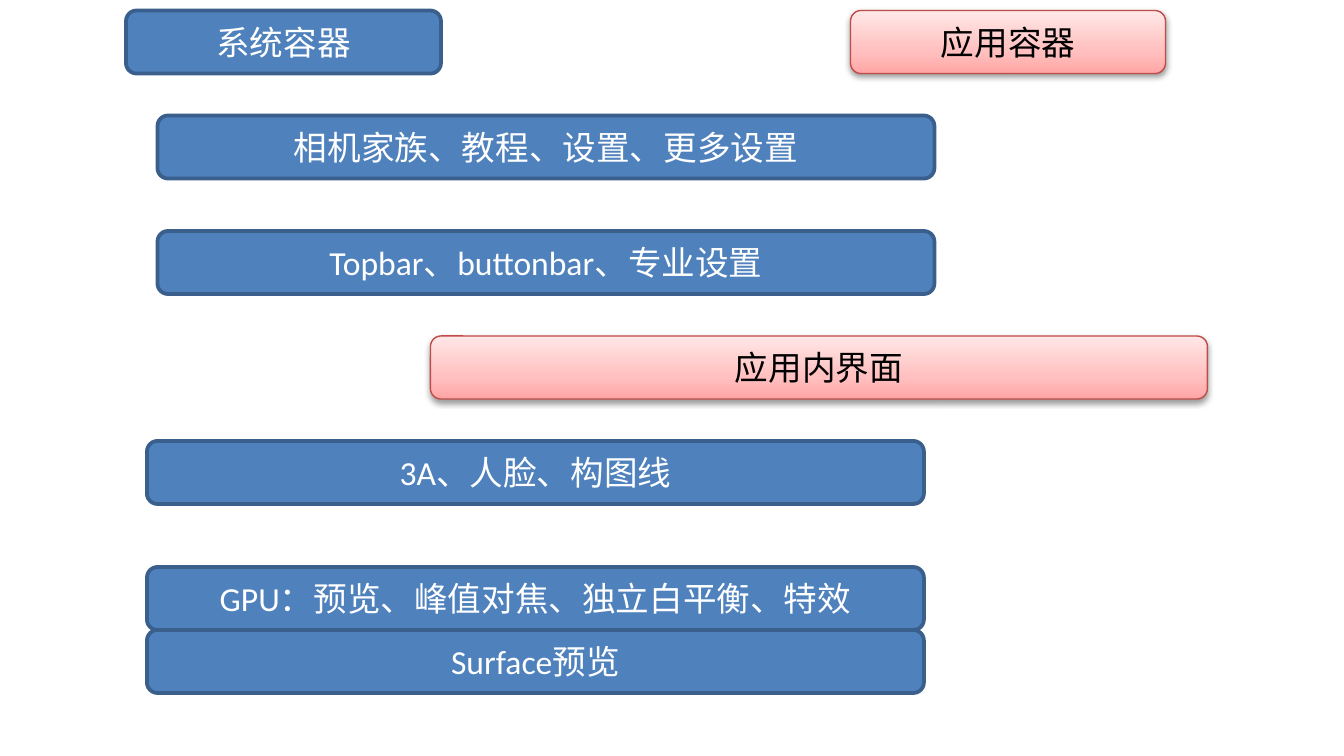
import pptx
import pptx.dml.color
import pptx.enum.shapes
import pptx.enum.text
import pptx.oxml
import pptx.oxml.ns
import pptx.util

Pt = pptx.util.Pt
COLORS = {
    "blue": "4F81BD", "blue_line": "3A5F8C", "red_line": "BF4C48",
    "red_dark": "FFA6A5", "red_middle": "FFC0BF", "red_light": "FFE7E7",
    "white": "FFFFFF", "black": "000000",
}
RED_STOPS = [(0, "red_dark"), (35, "red_middle"), (100, "red_light")]
STYLES = {
    "system": {"line": "blue_line", "line_width": 2, "text": "white"},
    "app": {"line": "red_line", "line_width": 0.75, "text": "black"},
}
BAR_HEIGHT = 33.75
HEADER_WIDTH, LAYER_WIDTH = 168.75, 416.25
HEADER_TOP = 5.63
PREVIEW_LEFT, MENU_LEFT = 78.75, 84.38


def color(name):
    return pptx.dml.color.RGBColor.from_string(COLORS[name])


def append_xml(parent, tag, content):
    namespace = pptx.oxml.ns.nsdecls("a")
    parent.append(pptx.oxml.parse_xml(f"<a:{tag} {namespace}>{content}</a:{tag}>"))


def color_xml(name, extra=""):
    return f'<a:srgbClr val="{COLORS[name]}">{extra}</a:srgbClr>'


def paint_app_bar(shape):
    shape.fill.gradient()
    shape.fill.gradient_angle = 90
    properties = shape.element.spPr
    stops = properties.find(".//" + pptx.oxml.ns.qn("a:gsLst"))
    for stop in list(stops):
        stops.remove(stop)
    for position, name in RED_STOPS:
        stop = pptx.oxml.parse_xml(
            f'<a:gs {pptx.oxml.ns.nsdecls("a")} pos="{position * 1000}">{color_xml(name)}</a:gs>')
        stops.append(stop)
    properties.remove(properties.find(pptx.oxml.ns.qn("a:effectLst")))
    shadow = color_xml("black", '<a:alpha val="38000"/>')
    append_xml(properties, "effectLst",
               f'<a:outerShdw blurRad="{Pt(3.15)}" dist="{Pt(1.57)}" dir="5400000" '
               f'rotWithShape="0">{shadow}</a:outerShdw>')


def write_label(shape, text, color_name):
    frame = shape.text_frame
    frame.word_wrap = True
    frame.vertical_anchor = pptx.enum.text.MSO_ANCHOR.MIDDLE
    paragraph = frame.paragraphs[0]
    paragraph.alignment = pptx.enum.text.PP_ALIGN.CENTER
    run = paragraph.add_run()
    run.text = text
    for attribute, value in {"name": "Calibri", "size": Pt(18)}.items():
        setattr(run.font, attribute, value)
    run.font.color.rgb = color(color_name)


def add_bar(slide, kind, text, left, top, width):
    style = STYLES[kind]
    shape = slide.shapes.add_shape(
        pptx.enum.shapes.MSO_SHAPE.ROUNDED_RECTANGLE,
        Pt(left), Pt(top), Pt(width), Pt(BAR_HEIGHT))
    shape.line.color.rgb = color(style["line"])
    shape.line.width = Pt(style["line_width"])
    shape.shadow.inherit = False
    if kind == "app":
        paint_app_bar(shape)
    else:
        shape.fill.solid()
        shape.fill.fore_color.rgb = color("blue")
    write_label(shape, text, style["text"])


def main():
    """Build the slide of system and application container layers."""
    presentation = pptx.Presentation()
    presentation.slide_width, presentation.slide_height = Pt(720), Pt(405)
    slide = presentation.slides.add_slide(presentation.slide_layouts[6])
    headers = [
        ("system", "系统容器", 67.5),
        ("app", "应用容器", 455.63),
    ]
    layers = [
        ("system", "相机家族、教程、设置、更多设置", MENU_LEFT, 61.88),
        ("system", "Topbar、buttonbar、专业设置", MENU_LEFT, 123.75),
        ("app", "应用内界面", 230.63, 180),
        ("system", "3A、人脸、构图线", PREVIEW_LEFT, 236.25),
        ("system", "GPU：预览、峰值对焦、独立白平衡、特效", PREVIEW_LEFT, 303.75),
        ("system", "Surface预览", PREVIEW_LEFT, 303.75 + BAR_HEIGHT),
    ]
    for kind, text, left in headers:
        add_bar(slide, kind, text, left, HEADER_TOP, HEADER_WIDTH)
    for kind, text, left, top in layers:
        add_bar(slide, kind, text, left, top, LAYER_WIDTH)
    presentation.save("out.pptx")


main()
